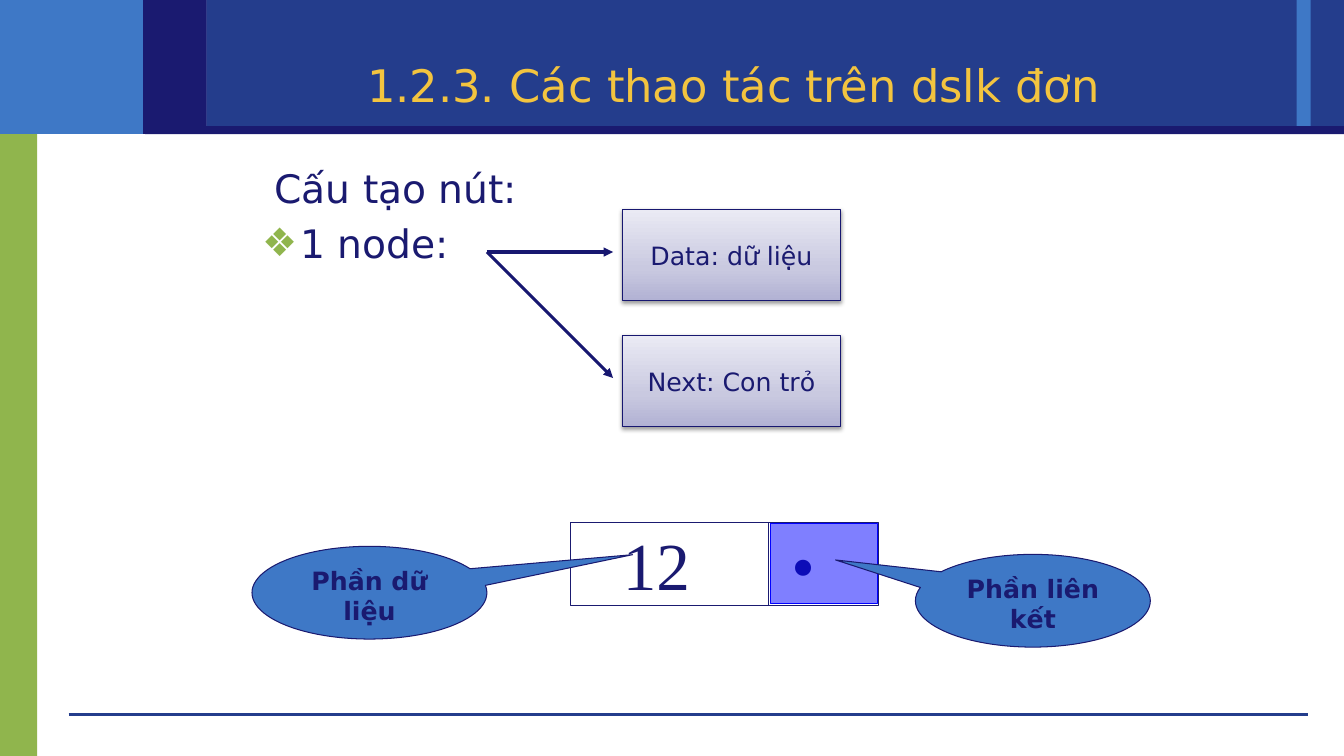
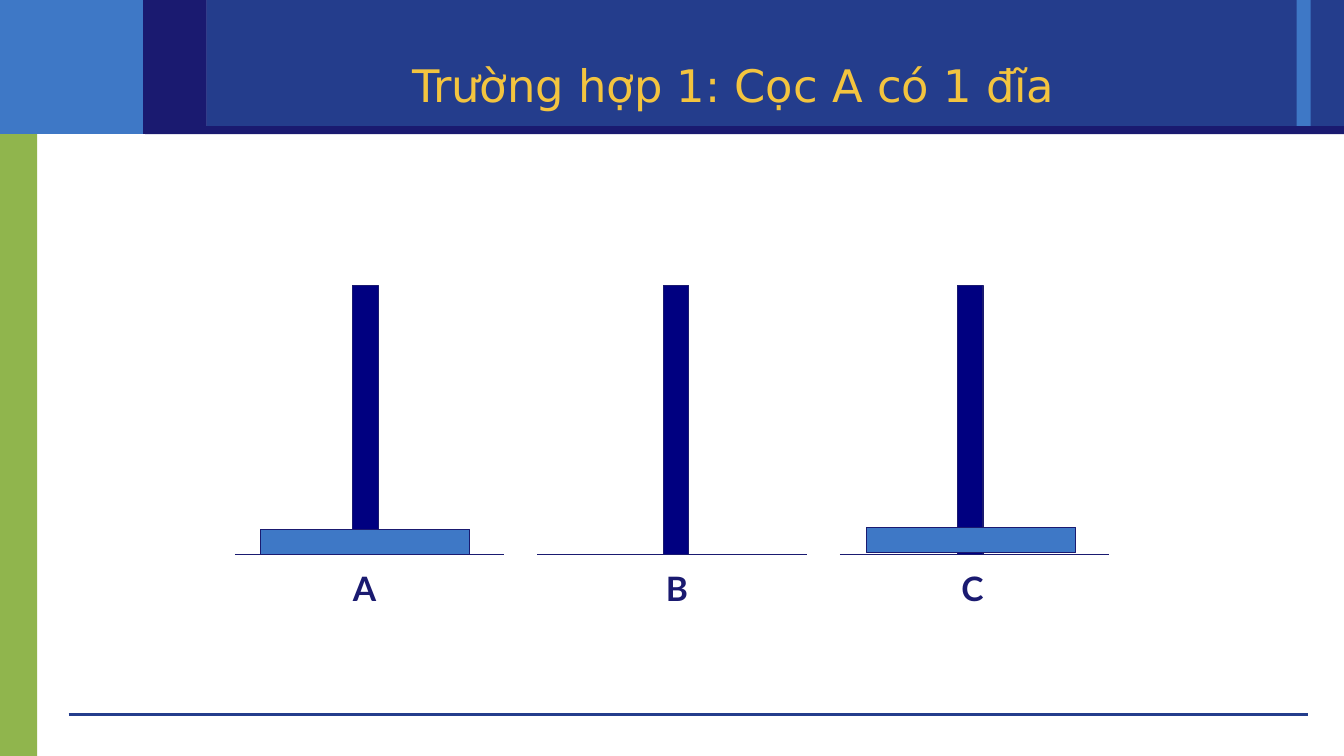
from dataclasses import dataclass
from typing import NamedTuple

from lxml.etree import SubElement
from pptx import Presentation
from pptx.dml.color import RGBColor
from pptx.enum.shapes import MSO_CONNECTOR, MSO_SHAPE
from pptx.enum.text import MSO_ANCHOR, MSO_AUTO_SIZE, PP_ALIGN
from pptx.oxml.ns import qn
from pptx.util import Inches, Pt


# Theme
@dataclass(frozen=True)
class Theme:
    navy: str = "1A1A70"
    edge: str = "171770"
    royal: str = "243D8C"
    sky: str = "3E78C6"
    green: str = "90B54D"
    gold: str = "F3C43F"
    pole: str = "000080"
    blue: str = "0000FF"
    fade: tuple = ((0, "B2B2D4"), (35, "C9C9E0"), (100, "EAEAF4"))
    sans: str = "DejaVu Sans"
    serif: str = "Times New Roman"
    label: str = "Lato"
    title: int = 32
    body: int = 28
    note: int = 18
    mark: int = 24
    value: int = 48
    thin: float = 0.75
    thick: float = 2.25


THEME = Theme()


class Box(NamedTuple):
    left: float
    top: float
    width: float
    height: float


class Band(NamedTuple):
    box: Box
    color: str


class Field(NamedTuple):
    text: str
    top: float


class Callout(NamedTuple):
    text: str
    left: float
    top: float
    tip: tuple[float, float]


class Peg(NamedTuple):
    name: str
    base: float
    pole: float
    label: float


BANDS = (
    Band(Box(0, 1.07, 0.37, 6.43), THEME.green),
    Band(Box(0, 0, 2.05, 1.33), THEME.sky),
    Band(Box(2.05, 0, 11.28, 1.33), THEME.royal),
    Band(Box(12.86, 0, 0.14, 1.25), THEME.sky),
    Band(Box(1.44, 1.25, 11.89, 0.08), THEME.navy),
    Band(Box(1.42, 0, 0.63, 1.33), THEME.navy),
)
FIELDS = (Field("Data: dữ liệu", 2.08), Field("Next: Con trỏ", 3.33))
CALLS = (
    Callout("Phần dữ liệu", 2.5, 5.42, (1.12, -0.41)),
    Callout("Phần liên kết", 9.08, 5.5, (-0.84, -0.44)),
)
PEGS = (
    Peg("A", 2.33, 3.5, 3.4),
    Peg("B", 5.33, 6.58, 6.5),
    Peg("C", 8.33, 9.5, 9.43),
)
FLOOR = 5.5
DISKS = (Box(2.58, 5.25, 2.08, 0.25), Box(8.59, 5.23, 2.08, 0.25))


# Drawing helpers
def rgb(code: str) -> RGBColor:
    return RGBColor.from_string(code)


def place(shape, box: Box) -> None:
    shape.left, shape.top, shape.width, shape.height = map(Inches, box)


def style(part, size: int, color: str = THEME.navy,
          font: str = THEME.sans, bold: bool = False) -> None:
    for run in part.runs:
        run.font.size, run.font.name, run.font.bold = Pt(size), font, bold
        run.font.color.rgb = rgb(color)


def write(frame, text: str, size: int, align=PP_ALIGN.CENTER,
          anchor=MSO_ANCHOR.TOP, **look) -> None:
    frame.text = text
    frame.vertical_anchor = anchor
    part = frame.paragraphs[0]
    part.alignment = align
    style(part, size, **look)


def draw(shapes, box: Box, fill: str | None = None, edge: str | None = None,
         kind=MSO_SHAPE.RECTANGLE):
    shape = shapes.add_shape(kind, *map(Inches, box))
    shape.shadow.inherit = False
    if fill:
        shape.fill.solid()
        shape.fill.fore_color.rgb = rgb(fill)
    else:
        shape.fill.background()
    if edge:
        shape.line.color.rgb = rgb(edge)
        shape.line.width = Pt(THEME.thin)
    else:
        shape.line.fill.background()
    return shape


def link(shapes, start: tuple[float, float], end: tuple[float, float],
         color: str = THEME.navy, width: float = THEME.thin,
         arrow: bool = False):
    line = shapes.add_connector(MSO_CONNECTOR.STRAIGHT,
                                *map(Inches, start + end))
    line.line.color.rgb = rgb(color)
    line.line.width = Pt(width)
    props = line.element.spPr
    if arrow:
        SubElement(props.find(qn("a:ln")), qn("a:tailEnd"), type="triangle")
    SubElement(props, qn("a:effectLst"))
    return line


def print_at(shapes, box: Box, text: str, size: int, wrap: bool = True,
             **look) -> None:
    frame = shapes.add_textbox(*map(Inches, box)).text_frame
    frame.word_wrap = wrap
    write(frame, text, size, **look)


def set_alpha(color, share: int) -> None:
    SubElement(color, qn("a:alpha"), val=str(share * 1000))


# Shared frame, kept on the master
def build_frame(deck, slide) -> None:
    parts = [draw(slide.shapes, band.box, band.color) for band in BANDS]
    parts.append(link(slide.shapes, (0.68, 7.09), (12.97, 7.09),
                      THEME.royal, 0))
    tree = deck.slide_master.shapes.element
    for spot, part in enumerate(parts):
        part.element.find(".//" + qn("p:cNvPr")).set("id", str(100 + spot))
        tree.insert(2 + spot, part.element)


def add_slide(deck, layout: int, title: str):
    slide = deck.slides.add_slide(deck.slide_layouts[layout])
    head = slide.shapes.title
    place(head, Box(2, 0.51, 10.56, 0.66))
    write(head.text_frame, title, THEME.title, anchor=MSO_ANCHOR.MIDDLE,
          color=THEME.gold)
    head.text_frame.auto_size = MSO_AUTO_SIZE.NONE
    return slide


# Node slide
def fill_body(body) -> None:
    place(body, Box(2.5, 1.58, 8.75, 4.67))
    frame = body.text_frame
    frame.auto_size = MSO_AUTO_SIZE.NONE
    frame.text = " Cấu tạo nút:\n1 node:"
    lead, item = frame.paragraphs
    for part, inset in ((lead, 0), (item, 0.38)):
        style(part, THEME.body)
        props = part._p.get_or_add_pPr()
        props.set("marL", str(Inches(inset)))
        props.set("indent", str(-Inches(inset)))
    SubElement(lead._p.pPr, qn("a:buNone"))
    tint = SubElement(item._p.pPr, qn("a:buClr"))
    SubElement(tint, qn("a:srgbClr"), val=THEME.green)
    SubElement(item._p.pPr, qn("a:buChar"), char="❖")


def add_field(shapes, field: Field) -> None:
    link(shapes, (4.83, 2.5), (6.08, field.top + 0.42), THEME.edge,
         THEME.thick, arrow=True)
    shape = draw(shapes, Box(6.17, field.top, 2.17, 0.9), edge=THEME.edge)
    shape.fill.gradient()
    shape.fill.gradient_angle = 90
    props = shape.element.spPr
    stops = props.find(".//" + qn("a:gsLst"))
    for stop in list(stops):
        stops.remove(stop)
    for share, color in THEME.fade:
        stop = SubElement(stops, qn("a:gs"), pos=str(share * 1000))
        SubElement(stop, qn("a:srgbClr"), val=color)
    shade = SubElement(props.find(qn("a:effectLst")), qn("a:outerShdw"),
                       blurRad=str(Pt(3.1)), dist=str(Pt(1.6)),
                       dir="5400000", rotWithShape="0")
    set_alpha(SubElement(shade, qn("a:srgbClr"), val="000000"), 38)
    write(shape.text_frame, field.text, THEME.note, anchor=MSO_ANCHOR.MIDDLE)


def add_call(shapes, call: Callout) -> None:
    shape = draw(shapes, Box(call.left, call.top, 2.33, 0.92), THEME.sky,
                 THEME.navy, MSO_SHAPE.OVAL_CALLOUT)
    for spot, value in enumerate(call.tip):
        shape.adjustments[spot] = value
    write(shape.text_frame, call.text, THEME.note, bold=True)


def build_node(slide) -> None:
    shapes = slide.shapes
    fill_body(slide.placeholders[1])
    # Node cell with its value and pointer
    draw(shapes, Box(5.66, 5.18, 3.05, 0.83), edge=THEME.navy)
    link(shapes, (7.62, 5.18), (7.62, 6.01))
    for text, left in (("12", 6.08), ("•", 7.75)):
        print_at(shapes, Box(left, 5.14, 0.9, 0.9), text, THEME.value,
                 align=PP_ALIGN.LEFT, font=THEME.serif)
    cover = draw(shapes, Box(7.64, 5.19, 1.06, 0.8), THEME.blue, THEME.blue)
    set_alpha(cover.element.spPr.find(qn("a:solidFill"))[0], 50)
    for call in CALLS:
        add_call(shapes, call)
    for field in FIELDS:
        add_field(shapes, field)


# Tower slide
def add_peg(slide, peg: Peg) -> None:
    shapes = slide.shapes.add_group_shape().shapes
    link(shapes, (peg.base, FLOOR), (peg.base + 2.67, FLOOR))
    draw(shapes, Box(peg.pole, FLOOR - 2.67, 0.25, 2.67), THEME.pole,
         THEME.navy)
    print_at(shapes, Box(peg.label, 5.58, 0.43, 0.51), peg.name, THEME.mark,
             wrap=False, font=THEME.label, bold=True)


def build_tower(slide) -> None:
    for peg in PEGS:
        add_peg(slide, peg)
    for disk in DISKS:
        draw(slide.shapes, disk, THEME.sky, THEME.navy)


def main() -> None:
    deck = Presentation()
    deck.slide_width, deck.slide_height = Inches(13.33), Inches(7.5)
    node = add_slide(deck, 1, "1.2.3. Các thao tác trên dslk đơn")
    build_frame(deck, node)
    build_node(node)
    build_tower(add_slide(deck, 5, "Trường hợp 1: Cọc A có 1 đĩa"))
    deck.save("out.pptx")


if __name__ == "__main__":
    main()
